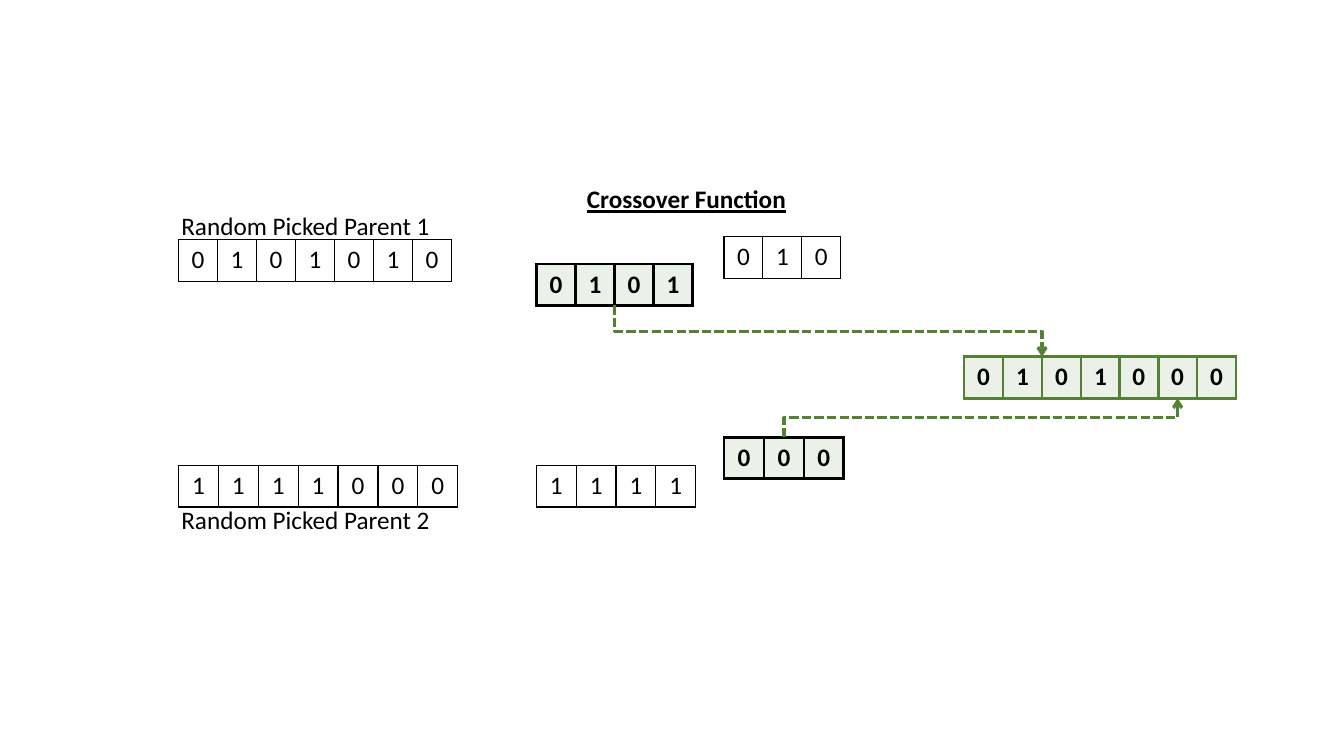
from dataclasses import dataclass

from lxml.etree import SubElement
from pptx import Presentation
from pptx.dml.color import RGBColor
from pptx.enum.dml import MSO_LINE
from pptx.enum.shapes import MSO_CONNECTOR
from pptx.enum.text import MSO_ANCHOR, MSO_AUTO_SIZE, PP_ALIGN
from pptx.oxml import parse_xml
from pptx.oxml.ns import nsdecls, qn
from pptx.util import Inches, Pt


@dataclass(frozen=True)
class Theme:
    font: str = "Calibri"
    text_size: float = 18
    ink: str = "000000"
    green: str = "548235"
    pale_green: str = "EBF1E9"
    thin: float = 1
    thick: float = 2.25


@dataclass(frozen=True)
class GeneStrip:
    bits: str
    left: float
    top: float
    width: float
    inherited: bool = False
    border: str = "000000"
    height: float = 0.41

    @property
    def center(self) -> float:
        return self.left + self.width / 2

    @property
    def bottom(self) -> float:
        return self.top + self.height


@dataclass(frozen=True)
class Label:
    text: str
    left: float
    top: float
    width: float
    height: float = 0.4


THEME = Theme()

# Parents, their cut halves, and the offspring
PARENT_1 = GeneStrip("0101010", 1.77, 2.38, 2.71)
PARENT_2 = GeneStrip("1111000", 1.77, 4.62, 2.77)
HEAD_1 = GeneStrip("0101", 5.32, 2.62, 1.55, inherited=True)
TAIL_1 = GeneStrip("010", 7.18, 2.35, 1.16)
HEAD_2 = GeneStrip("1111", 5.32, 4.62, 1.58)
TAIL_2 = GeneStrip("000", 7.18, 4.34, 1.19, inherited=True)
CHILD_HEAD = GeneStrip("0101", 9.56, 3.54, 1.55, True, THEME.green)
CHILD_TAIL = GeneStrip("000", 11.1, 3.54, 1.16, True, THEME.green)
STRIPS = (PARENT_1, PARENT_2, HEAD_1, TAIL_1, HEAD_2, TAIL_2, CHILD_HEAD, CHILD_TAIL)

HEADING = Label("Crossover Function", 5.72, 1.77, 2.19)
PARENT_LABELS = (
    Label("Random Picked Parent 1", 1.7, 2.04, 2.69),
    Label("Random Picked Parent 2", 1.7, 4.95, 2.69),
)


def apply(target, formats: dict) -> None:
    for attribute, value in formats.items():
        setattr(target, attribute, value)


def write(frame, text: str, align: PP_ALIGN, bold: bool = False, underline: bool = False) -> None:
    paragraph = frame.paragraphs[0]
    paragraph.alignment = align
    run = paragraph.add_run()
    run.text = text
    apply(run.font, {"name": THEME.font, "size": Pt(THEME.text_size),
                     "bold": bold, "underline": underline})
    run.font.color.rgb = RGBColor.from_string(THEME.ink)


def set_borders(cell, color: str, weight: float) -> None:
    properties = cell._tc.get_or_add_tcPr()
    for index, side in enumerate(("lnL", "lnR", "lnT", "lnB")):
        properties.insert(index, parse_xml(
            f'<a:{side} {nsdecls("a")} w="{Pt(weight)}"><a:solidFill>'
            f'<a:srgbClr val="{color}"/></a:solidFill></a:{side}>'))


def draw_strip(slide, strip: GeneStrip) -> None:
    table = slide.shapes.add_table(
        1, len(strip.bits), Inches(strip.left), Inches(strip.top),
        Inches(strip.width), Inches(strip.height)).table
    apply(table, {"first_row": False, "horz_banding": False})
    for column, bit in enumerate(strip.bits):
        table.columns[column].width = Inches(strip.width / len(strip.bits))
        cell = table.cell(0, column)
        if strip.inherited:
            cell.fill.solid()
            cell.fill.fore_color.rgb = RGBColor.from_string(THEME.pale_green)
        else:
            cell.fill.background()
        set_borders(cell, strip.border, THEME.thick if strip.inherited else THEME.thin)
        write(cell.text_frame, bit, PP_ALIGN.CENTER, bold=strip.inherited)


def place_label(shape, label: Label, **emphasis: bool) -> None:
    apply(shape, {"left": Inches(label.left), "top": Inches(label.top),
                  "width": Inches(label.width), "height": Inches(label.height)})
    apply(shape.text_frame, {"word_wrap": False, "auto_size": MSO_AUTO_SIZE.SHAPE_TO_FIT_TEXT,
                             "vertical_anchor": MSO_ANCHOR.TOP})
    write(shape.text_frame, label.text, PP_ALIGN.LEFT, **emphasis)


def draw_inheritance(slide, source: GeneStrip, target: GeneStrip) -> None:
    """Elbow arrow that leaves and enters vertically: a horizontal elbow, turned."""
    downward = source.top < target.top
    start_y, end_y = (source.bottom, target.top) if downward else (source.top, target.bottom)
    middle_x, middle_y = (source.center + target.center) / 2, (start_y + end_y) / 2
    half_rise = abs(end_y - start_y) / 2
    half_run = (target.center - source.center) / 2 * (1 if downward else -1)
    arrow = slide.shapes.add_connector(
        MSO_CONNECTOR.ELBOW,
        Inches(middle_x + half_rise), Inches(middle_y - half_run),
        Inches(middle_x - half_rise), Inches(middle_y + half_run))
    apply(arrow.line, {"width": Pt(THEME.thick), "dash_style": MSO_LINE.SQUARE_DOT})
    arrow.line.color.rgb = RGBColor.from_string(THEME.green)
    properties = arrow._element.spPr
    properties.find(qn("a:xfrm")).set("rot", str((270 if downward else 90) * 60000))
    SubElement(properties.find(qn("a:ln")), qn("a:tailEnd"), type="arrow")
    SubElement(properties, qn("a:effectLst"))


presentation = Presentation()
apply(presentation, {"slide_width": Inches(13.33), "slide_height": Inches(7.5)})
crossover = presentation.slides.add_slide(presentation.slide_layouts[5])

# Heading and parent labels
place_label(crossover.shapes.title, HEADING, bold=True, underline=True)
for parent_label in PARENT_LABELS:
    place_label(crossover.shapes.add_textbox(0, 0, 0, 0), parent_label)

# Gene strips
for gene_strip in STRIPS:
    draw_strip(crossover, gene_strip)

# Inheritance arrows
for inherited_part, child_part in ((HEAD_1, CHILD_HEAD), (TAIL_2, CHILD_TAIL)):
    draw_inheritance(crossover, inherited_part, child_part)

presentation.save("out.pptx")
